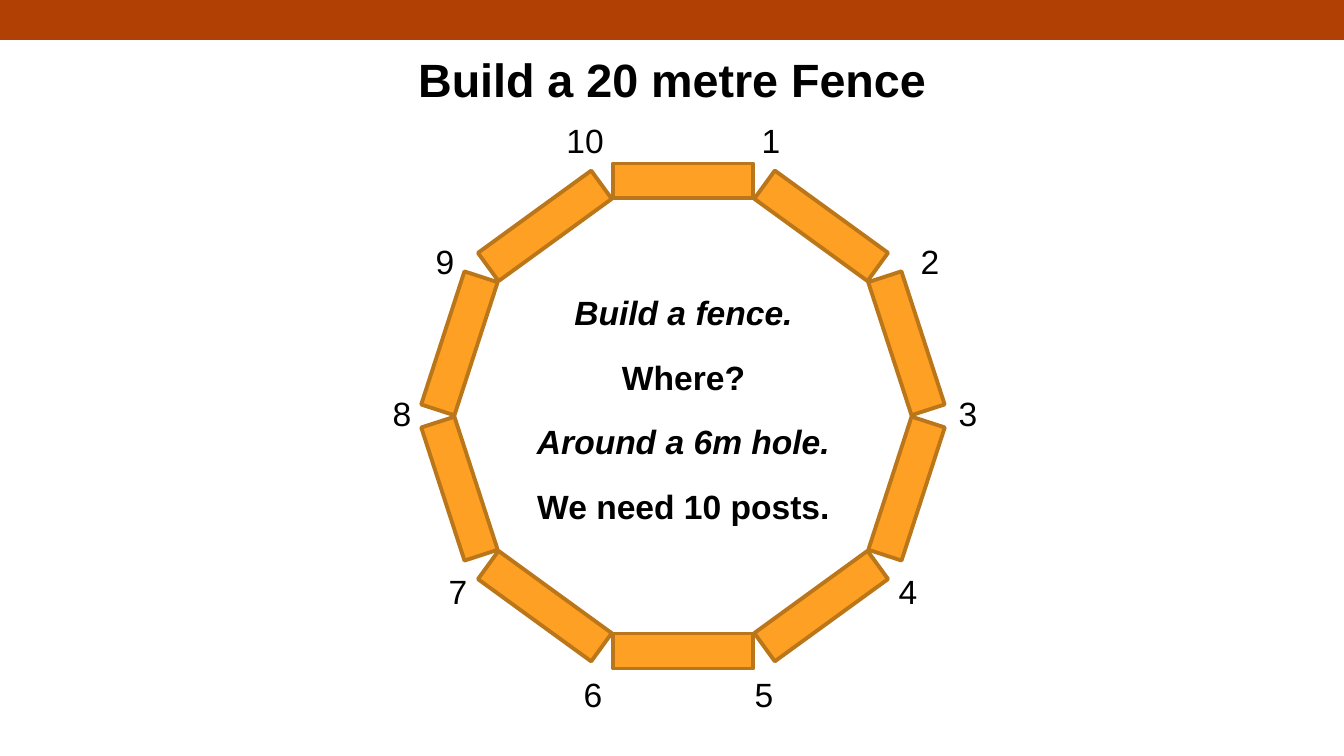
import math

from pptx import Presentation
from pptx import util as u
from pptx.dml.color import RGBColor
from pptx.enum import shapes, text

EMU_PER_PX = 914400 / 134.4
WIDTH, HEIGHT = 1344, 756
CENTRE_X, CENTRE_Y, RADIUS = 683, 416, 235
PANEL_COUNT, PANEL_WIDTH, PANEL_HEIGHT = 10, 140, 35
LABEL_SIZE = 50

# Centre of each post number, right half only: the others mirror these
POST_LABELS = {
    "1": (771, 140), "2": (930, 261), "3": (968, 413), "4": (908, 591),
    "5": (764, 694), "6": (593, 694), "7": (458, 591), "8": (402, 413),
    "9": (445, 261), "10": (585, 140),
}
DIALOGUE = [
    ("Build a fence.", True),
    ("Where?", False),
    ("Around a 6m hole.", True),
    ("We need 10 posts.", False),
]


def px(length):
    return u.Emu(round(length * EMU_PER_PX))


def colour(value):
    return RGBColor.from_string(value)


def add_rectangle(slide, left, top, width, height, fill, line=None, rotation=0):
    shape = slide.shapes.add_shape(
        shapes.MSO_SHAPE.RECTANGLE, px(left), px(top), px(width), px(height))
    shape.shadow.inherit = False
    shape.rotation = rotation
    shape.fill.solid()
    shape.fill.fore_color.rgb = colour(fill)
    if line:
        shape.line.color.rgb = colour(line)
        shape.line.width = u.Pt(2.08)
    else:
        shape.line.fill.background()


def add_text(slide, left, top, width, height, lines, size, bold=False,
             inset=12, anchor=text.MSO_ANCHOR.TOP, space_after=0):
    """Add a centred text box; lines holds (wording, italic) pairs."""
    frame = slide.shapes.add_textbox(
        px(left), px(top), px(width), px(height)).text_frame
    frame.word_wrap = True
    frame.vertical_anchor = anchor
    frame.margin_left = frame.margin_right = px(inset)
    frame.margin_top = frame.margin_bottom = px(inset)
    for index, (wording, italic) in enumerate(lines):
        paragraph = frame.add_paragraph() if index else frame.paragraphs[0]
        paragraph.text = wording
        paragraph.alignment = text.PP_ALIGN.CENTER
        paragraph.space_after = u.Pt(space_after)
        font = paragraph.font
        font.name, font.size = "Arial", u.Pt(size)
        font.bold, font.italic = bold, italic
        font.color.rgb = colour("000000")


def add_fence(slide):
    step = 360 / PANEL_COUNT
    for index in range(PANEL_COUNT):
        angle = math.radians(index * step)
        x = CENTRE_X + RADIUS * math.sin(angle)
        y = CENTRE_Y - RADIUS * math.cos(angle)
        add_rectangle(slide, x - PANEL_WIDTH / 2, y - PANEL_HEIGHT / 2,
                      PANEL_WIDTH, PANEL_HEIGHT, "FDA023", "BB761A", index * step)


def add_post_labels(slide):
    for number, (x, y) in POST_LABELS.items():
        add_text(slide, x - LABEL_SIZE / 2, y - LABEL_SIZE / 2,
                 LABEL_SIZE, LABEL_SIZE, [(number, False)], 18,
                 inset=0, anchor=text.MSO_ANCHOR.MIDDLE)


def main():
    presentation = Presentation()
    presentation.slide_width, presentation.slide_height = px(WIDTH), px(HEIGHT)
    slide = presentation.slides.add_slide(presentation.slide_layouts[6])

    # Top bar and title
    add_rectangle(slide, 0, 0, WIDTH, 40, "B04004")
    add_text(slide, 0, 39, WIDTH, 70, [("Build a 20 metre Fence", False)], 25, bold=True)

    # Post numbers, dialogue and the ring of panels
    add_post_labels(slide)
    add_text(slide, 498, 280, 371, 249, DIALOGUE, 18, bold=True, space_after=13)
    add_fence(slide)

    presentation.save("out.pptx")


if __name__ == "__main__":
    main()
